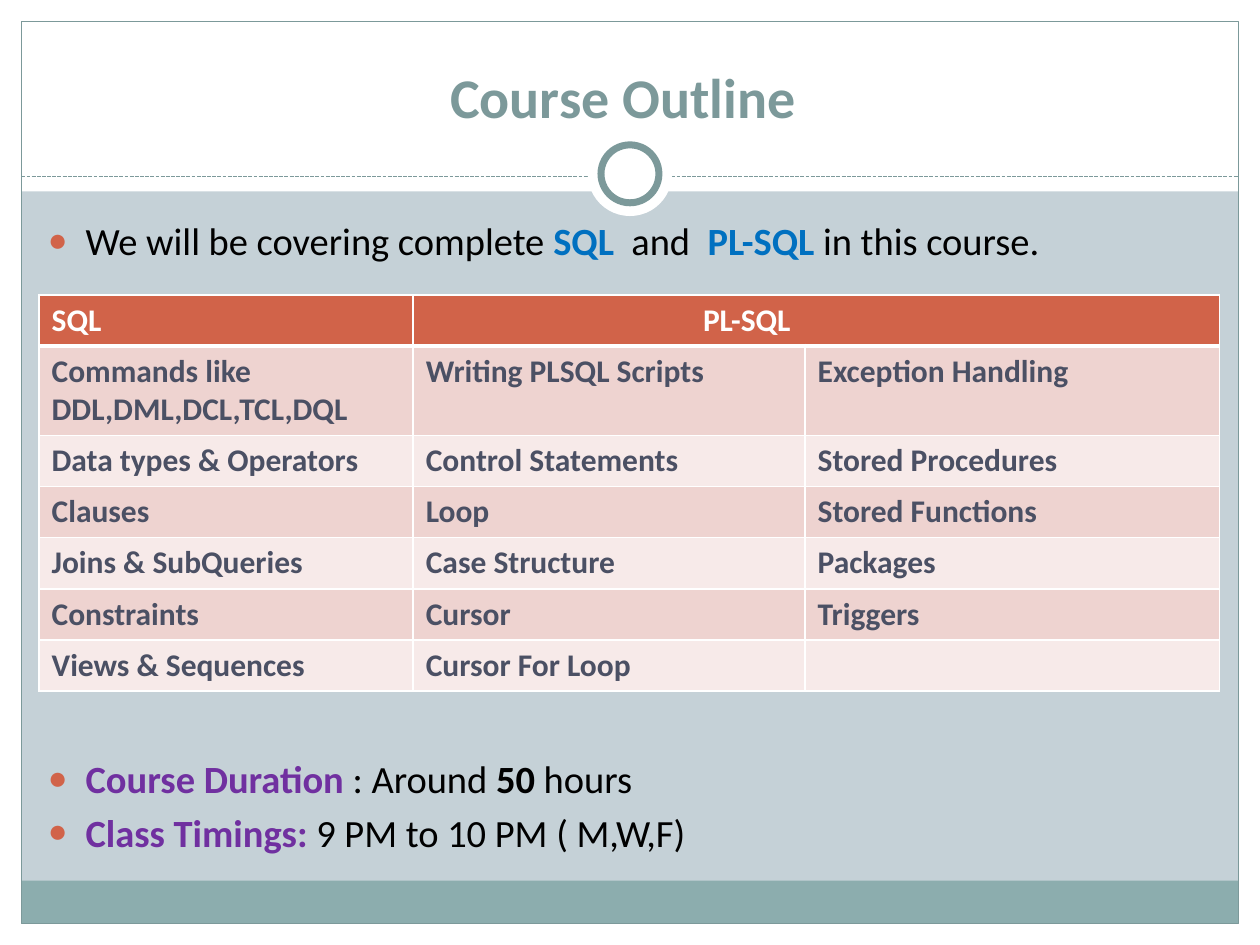
from lxml.etree import SubElement
from pptx import Presentation
from pptx.dml.color import RGBColor
from pptx.enum.dml import MSO_LINE
from pptx.enum.shapes import MSO_CONNECTOR, MSO_SHAPE
from pptx.enum.text import MSO_ANCHOR, MSO_AUTO_SIZE, PP_ALIGN
from pptx.oxml import parse_xml
from pptx.oxml.ns import nsdecls, qn
from pptx.util import Inches, Pt

THEME = {
    "font": "Calibri", "title_size": 32, "body_size": 22, "table_size": 18,
    "background": "C5D1D7", "white": "FFFFFF", "teal": "7C999A",
    "footer": "8CADAE", "accent": "D16349", "text": "000000",
    "cell_text": "4B5064", "bands": ("EED3D0", "F7EAE9"),
    "keyword": "0070C0", "label": "7030A0",
}

TITLE = "Course Outline "
# Each bullet: space before in points, then runs of (text, colour, bold)
BULLETS = [
    (0, [("We will be covering complete ", "text", False), ("SQL", "keyword", True),
         ("  and  ", "text", False), ("PL-SQL", "keyword", True),
         (" in this course.", "text", False)]),
    (281, [("Course Duration ", "label", True), (": Around ", "text", False),
           ("50", "text", True), (" hours", "text", False)]),
    (4.4, [("Class Timings: ", "label", True),
           ("9 PM to 10 PM ( M,W,F)", "text", False)]),
]
TOPICS = [
    ("SQL", "PL-SQL", ""),
    ("Commands like DDL,DML,DCL,TCL,DQL", "Writing PLSQL Scripts", "Exception Handling"),
    ("Data types & Operators", "Control Statements", "Stored Procedures"),
    ("Clauses", "Loop", "Stored Functions"),
    ("Joins & SubQueries", "Case Structure", "Packages"),
    ("Constraints", "Cursor", "Triggers"),
    ("Views & Sequences", "Cursor For Loop", ""),
]
COLUMN_WIDTHS = (2.97, 3.11, 3.29)
ROW_HEIGHT, TALL_ROW_HEIGHT = 0.4, 0.71

WIDTH, HEIGHT, MARGIN = 10, 7.5, 0.17
BANDS = [  # left, top, width, height, colour
    (0, HEIGHT - MARGIN, WIDTH, MARGIN, "white"),
    (0, 0, WIDTH, 1.52, "white"),
    (0, 0, MARGIN, HEIGHT, "white"),
    (WIDTH - MARGIN, 0, MARGIN, HEIGHT, "white"),
    (MARGIN, 6.99, WIDTH - 2 * MARGIN, 0.34, "footer"),
]
RULE_TOP, RING_CENTER = 1.4, (5, 1.38)


def color(name):
    return RGBColor.from_string(THEME.get(name, name))


def set_font(font, size, color_name, bold):
    font.name = THEME["font"]
    font.size = Pt(size)
    font.color.rgb = color(color_name)
    font.bold = bold


def place(shape, left, top, width, height):
    shape.left, shape.top = Inches(left), Inches(top)
    shape.width, shape.height = Inches(width), Inches(height)


def add_preset(slide, preset, box, fill=None, line=None, line_width=0.75):
    shape = slide.shapes.add_shape(preset, *map(Inches, box))
    shape.shadow.inherit = False
    if fill:
        shape.fill.solid()
        shape.fill.fore_color.rgb = color(fill)
    else:
        shape.fill.background()
    if line:
        shape.line.color.rgb = color(line)
        shape.line.width = Pt(line_width)
    else:
        shape.line.fill.background()


def add_circle(slide, diameter, **style):
    x, y = RING_CENTER
    box = (x - diameter / 2, y - diameter / 2, diameter, diameter)
    add_preset(slide, MSO_SHAPE.OVAL, box, "white", **style)


def add_frame(slide):
    for *box, fill in BANDS:
        add_preset(slide, MSO_SHAPE.RECTANGLE, box, fill)
    border = (MARGIN, MARGIN, WIDTH - 2 * MARGIN, HEIGHT - 2 * MARGIN)
    add_preset(slide, MSO_SHAPE.RECTANGLE, border, line="teal")
    rule = slide.shapes.add_connector(
        MSO_CONNECTOR.STRAIGHT, Inches(MARGIN), Inches(RULE_TOP),
        Inches(WIDTH - MARGIN), Inches(RULE_TOP))
    rule.line.color.rgb = color("teal")
    rule.line.width = Pt(0.75)
    rule.line.dash_style = MSO_LINE.SQUARE_DOT
    SubElement(rule._element.spPr, qn("a:effectLst"))
    add_circle(slide, 0.67)
    add_circle(slide, 0.46, line="teal", line_width=4)


def fill_title(title):
    place(title, 0.33, 0.25, 9.33, 0.83)
    frame = title.text_frame
    frame.text = TITLE
    frame.auto_size = MSO_AUTO_SIZE.NONE
    frame.vertical_anchor = MSO_ANCHOR.BOTTOM
    paragraph = frame.paragraphs[0]
    paragraph.alignment = PP_ALIGN.CENTER
    set_font(paragraph.font, THEME["title_size"], "teal", True)


def add_bullet(paragraph):
    properties = paragraph._p.get_or_add_pPr()
    properties.set("marL", str(Inches(0.3)))
    properties.set("indent", str(-Inches(0.3)))
    for xml in (
        f'<a:buClr {nsdecls("a")}><a:srgbClr val="{THEME["accent"]}"/></a:buClr>',
        f'<a:buSzPct {nsdecls("a")} val="85000"/>',
        f'<a:buChar {nsdecls("a")} char="●"/>',
    ):
        properties.append(parse_xml(xml))


def fill_body(body):
    place(body, 0.28, 1.67, 9.53, 5.3)
    frame = body.text_frame
    frame.auto_size = MSO_AUTO_SIZE.NONE
    for index, (space_before, runs) in enumerate(BULLETS):
        paragraph = frame.add_paragraph() if index else frame.paragraphs[0]
        add_bullet(paragraph)
        paragraph.space_before = Pt(space_before)
        for text, color_name, bold in runs:
            run = paragraph.add_run()
            run.text = text
            set_font(run.font, THEME["body_size"], color_name, bold)


def set_borders(cell, top, bottom):
    """Draw white cell borders; top and bottom are widths in points."""
    properties = cell._tc.get_or_add_tcPr()
    widths = {"lnL": 1, "lnR": 1, "lnT": top, "lnB": bottom}
    for position, (tag, width) in enumerate(widths.items()):
        properties.insert(position, parse_xml(
            f'<a:{tag} {nsdecls("a")} w="{Pt(width)}"><a:solidFill>'
            f'<a:srgbClr val="{THEME["white"]}"/></a:solidFill></a:{tag}>'))


def add_topics(slide):
    height = ROW_HEIGHT * (len(TOPICS) - 1) + TALL_ROW_HEIGHT
    table = slide.shapes.add_table(
        len(TOPICS), len(COLUMN_WIDTHS), Inches(0.31), Inches(2.34),
        Inches(sum(COLUMN_WIDTHS)), Inches(height)).table
    for column, width in zip(table.columns, COLUMN_WIDTHS):
        column.width = Inches(width)
    for row_index, texts in enumerate(TOPICS):
        header = row_index == 0
        table.rows[row_index].height = Inches(TALL_ROW_HEIGHT if row_index == 1 else ROW_HEIGHT)
        for column_index, text in enumerate(texts):
            cell = table.cell(row_index, column_index)
            cell.text = text
            cell.fill.solid()
            cell.fill.fore_color.rgb = color(
                "accent" if header else THEME["bands"][(row_index - 1) % 2])
            set_borders(cell, 3 if row_index == 1 else 1, 3 if header else 1)
            set_font(cell.text_frame.paragraphs[0].font, THEME["table_size"],
                     "white" if header else "cell_text", True)
    plsql = table.cell(0, 1)
    plsql.merge(table.cell(0, 2))
    plsql.margin_left = Inches(2.3)


def main():
    presentation = Presentation()
    presentation.slide_width, presentation.slide_height = Inches(WIDTH), Inches(HEIGHT)
    slide = presentation.slides.add_slide(presentation.slide_layouts[1])
    slide.background.fill.solid()
    slide.background.fill.fore_color.rgb = color("background")
    title, body = slide.placeholders
    add_frame(slide)
    for placeholder in (title, body):  # bring the text in front of the frame
        slide.shapes._spTree.append(placeholder._element)
    fill_title(title)
    fill_body(body)
    add_topics(slide)
    presentation.save("out.pptx")


if __name__ == "__main__":
    main()
